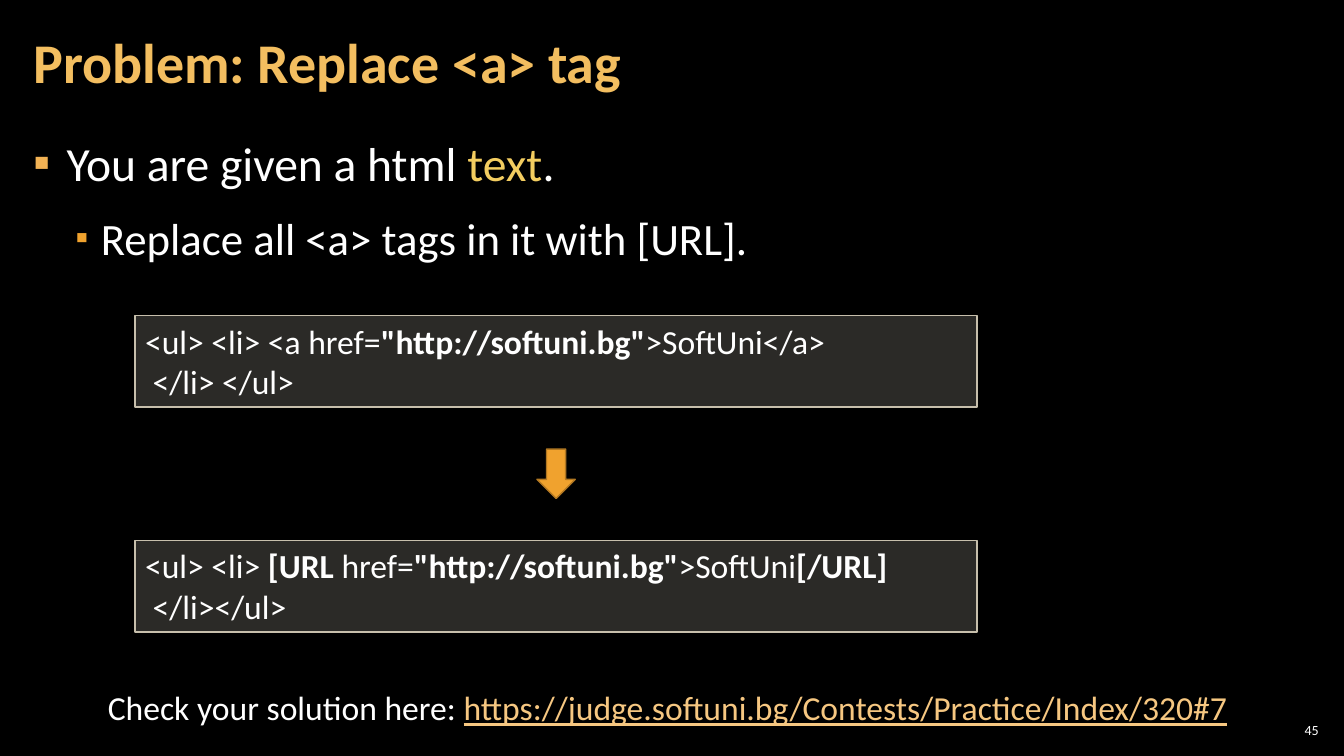
"""Build the slide that sets the tag replacement problem."""
from dataclasses import dataclass

from lxml.etree import SubElement
from pptx import Presentation
from pptx.dml.color import RGBColor
from pptx.enum.shapes import MSO_SHAPE
from pptx.enum.text import MSO_ANCHOR, MSO_AUTO_SIZE, PP_ALIGN
from pptx.oxml.ns import qn
from pptx.util import Inches, Pt


@dataclass(frozen=True)
class Theme:
    font: str = "Calibri"
    background: str = "000000"
    text: str = "FFFFFF"
    title: str = "F3BE60"
    highlight: str = "F3CD60"
    link: str = "F6C781"
    accent: str = "F0A22E"
    accent_line: str = "B27822"
    bullet: str = "F2B254"
    panel: str = "D9D5C7"
    panel_line: str = "C7BFAC"
    panel_alpha: int = 20
    title_size: int = 40
    code_size: int = 24
    number_size: int = 10


THEME = Theme()

TITLE = "Problem: Replace <a> tag"
BULLETS = [
    {"spans": [("You are given a html ", {}), ("text", {"color": THEME.highlight}), (".", {})],
     "size": 34, "indent": 0.33, "hang": 0.33, "color": THEME.bullet, "scale": 100},
    {"spans": [("Replace all <a> tags in it with [URL].", {})],
     "size": 32, "indent": 0.67, "hang": 0.25, "color": THEME.accent, "scale": 80},
]
BOLD = {"bold": True}
CODE_BEFORE = [
    [("<ul> <li> <a href=", {}), ('"http://softuni.bg"', BOLD), (">SoftUni</a>", {})],
    [(" </li> </ul>", {})],
]
CODE_AFTER = [
    [("<ul> <li> ", {}), ("[URL ", BOLD), ("href=", {}), ('"http://softuni.bg"', BOLD),
     (">SoftUni", {}), ("[/URL]", BOLD)],
    [(" </li></ul>", {})],
]
CHECK = [
    ("Check your solution here: ", {}),
    ("https://judge.softuni.bg/Contests/Practice/Index/320#7",
     {"color": THEME.link, "underline": True}),
]
PAGE_NUMBER = "45"

PANEL_LEFT, PANEL_WIDTH, PANEL_HEIGHT = 1.34, 8.35, 0.91
PANELS = [(3.13, CODE_BEFORE), (5.36, CODE_AFTER)]
ARROW_WIDTH, ARROW_HEIGHT = 0.49, 0.38


def rgb(color):
    return RGBColor.from_string(color)


def place(shape, left, top, width, height):
    shape.left, shape.top = Inches(left), Inches(top)
    shape.width, shape.height = Inches(width), Inches(height)


def set_frame(frame, anchor, side=0.1, edge=0.05):
    frame.word_wrap = True
    frame.auto_size = MSO_AUTO_SIZE.NONE
    frame.vertical_anchor = anchor
    frame.margin_left = frame.margin_right = Inches(side)
    frame.margin_top = frame.margin_bottom = Inches(edge)


def write(para, spans, size, color=THEME.text, align=PP_ALIGN.LEFT):
    para.alignment = align
    para.font.name = THEME.font
    para.font.size = Pt(size)
    for text, style in spans:
        span = para.add_run()
        span.text = text
        span.font.color.rgb = rgb(style.get("color", color))
        if style.get("bold"):
            span.font.bold = True
        if style.get("underline"):
            span.font.underline = True


def paragraphs(frame, count):
    return [frame.paragraphs[0]] + [frame.add_paragraph() for _ in range(count - 1)]


def set_bullet(para, indent, hang, color, scale):
    properties = para._p.get_or_add_pPr()
    properties.set("marL", str(Inches(indent)))
    properties.set("indent", str(-Inches(hang)))
    SubElement(SubElement(properties, qn("a:buClr")), qn("a:srgbClr"), val=color)
    SubElement(properties, qn("a:buSzPct"), val=str(scale * 1000))
    SubElement(properties, qn("a:buFont"), typeface=THEME.font)
    SubElement(properties, qn("a:buChar"), char="▪")


def add_title(page):
    title = page.shapes.title
    place(title, 0.21, 0.04, 10.47, 1.21)
    set_frame(title.text_frame, MSO_ANCHOR.MIDDLE, 0.12, 0.04)
    para = title.text_frame.paragraphs[0]
    para.line_spacing = 0.9
    write(para, [(TITLE, BOLD)], THEME.title_size, THEME.title)


def add_bullets(page):
    body = page.placeholders[1]
    place(body, 0.21, 1.26, 12.91, 6.09)
    set_frame(body.text_frame, MSO_ANCHOR.TOP, 0.12, 0.04)
    for level, para in enumerate(paragraphs(body.text_frame, len(BULLETS))):
        item = BULLETS[level]
        para.level = level
        para.line_spacing = 1.05
        para.space_before = Pt(6 if level else 0)
        para.space_after = Pt(6)
        set_bullet(para, item["indent"], item["hang"], item["color"], item["scale"])
        write(para, item["spans"], item["size"])


def add_shape(page, kind, bounds, fill, line):
    shape = page.shapes.add_shape(kind, *map(Inches, bounds))
    shape.shadow.inherit = False
    shape.fill.solid()
    shape.fill.fore_color.rgb = rgb(fill)
    shape.line.color.rgb = rgb(line)
    shape.line.width = Pt(1)
    return shape


def add_panel(page, top, lines):
    bounds = PANEL_LEFT, top, PANEL_WIDTH, PANEL_HEIGHT
    panel = add_shape(page, MSO_SHAPE.RECTANGLE, bounds, THEME.panel, THEME.panel_line)
    color = panel._element.spPr.find(qn("a:solidFill")).find(qn("a:srgbClr"))
    SubElement(color, qn("a:alpha"), val=str(THEME.panel_alpha * 1000))
    set_frame(panel.text_frame, MSO_ANCHOR.TOP)
    for para, spans in zip(paragraphs(panel.text_frame, len(lines)), lines):
        write(para, spans, THEME.code_size)


def add_arrow(page):
    middle_x = PANEL_LEFT + PANEL_WIDTH / 2
    middle_y = (PANELS[0][0] + PANEL_HEIGHT + PANELS[1][0]) / 2
    bounds = (middle_x - ARROW_WIDTH / 2, middle_y - ARROW_HEIGHT / 2, ARROW_WIDTH, ARROW_HEIGHT)
    arrow = add_shape(page, MSO_SHAPE.RIGHT_ARROW, bounds, THEME.accent, THEME.accent_line)
    arrow.rotation = 90


def add_text(page, bounds, spans, size, align, anchor, side=0.1, edge=0.05):
    box = page.shapes.add_textbox(*map(Inches, bounds))
    set_frame(box.text_frame, anchor, side, edge)
    write(box.text_frame.paragraphs[0], spans, size, align=align)


def main():
    deck = Presentation()
    deck.slide_width, deck.slide_height = Inches(13.33), Inches(7.5)
    page = deck.slides.add_slide(deck.slide_layouts[1])
    page.background.fill.solid()
    page.background.fill.fore_color.rgb = rgb(THEME.background)
    add_title(page)
    add_bullets(page)
    for top, lines in PANELS:
        add_panel(page, top, lines)
    add_arrow(page)
    add_text(page, (0.83, 6.77, 11.58, 0.5), CHECK, THEME.code_size,
             PP_ALIGN.CENTER, MSO_ANCHOR.TOP)
    add_text(page, (12.65, 7.14, 0.47, 0.21), [(PAGE_NUMBER, {})], THEME.number_size,
             PP_ALIGN.RIGHT, MSO_ANCHOR.MIDDLE, 0.04, 0.04)
    deck.save("out.pptx")


if __name__ == "__main__":
    main()
